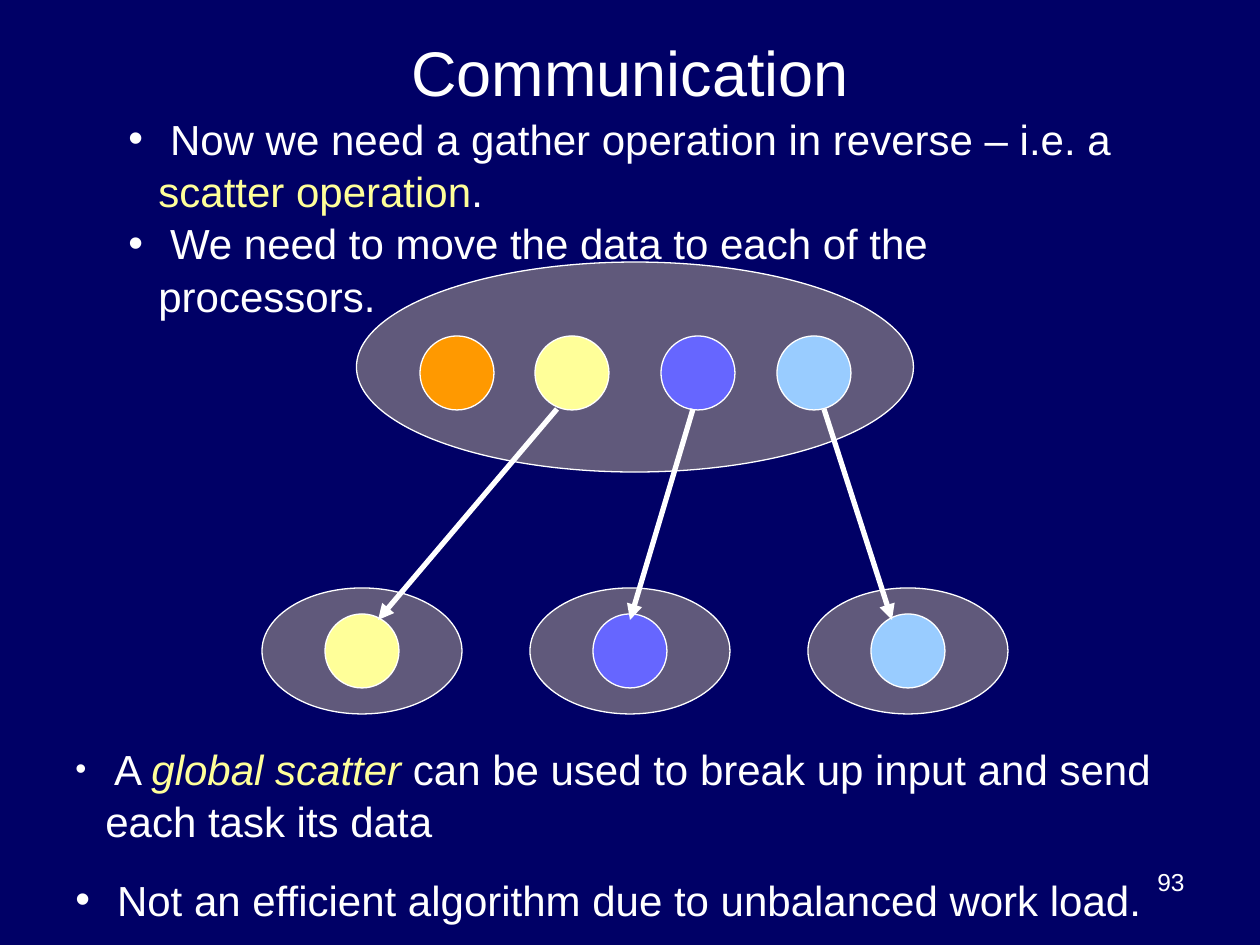
from lxml import etree
from pptx import Presentation
from pptx.dml.color import RGBColor
from pptx.enum.shapes import MSO_CONNECTOR, MSO_SHAPE
from pptx.enum.text import MSO_ANCHOR, PP_ALIGN
from pptx.oxml.ns import qn
from pptx.util import Pt

OVAL = MSO_SHAPE.OVAL
STRAIGHT = MSO_CONNECTOR.STRAIGHT
LEFT, CENTER, RIGHT = PP_ALIGN.LEFT, PP_ALIGN.CENTER, PP_ALIGN.RIGHT
TOP, MIDDLE = MSO_ANCHOR.TOP, MSO_ANCHOR.MIDDLE

PX = 914400 / 126  # EMU per px
COLORS = {name: RGBColor.from_string(value) for name, value in {
    "navy": "000066", "white": "FFFFFF", "gray": "60597B", "orange": "FF9900",
    "yellow": "FFFF99", "violet": "6666FF", "sky": "99CCFF"}.items()}


def px(*lengths):
    return [round(length * PX) for length in lengths]


def add_oval(center_x, center_y, width, height, color):
    shape = slide.shapes.add_shape(OVAL, *px(
        center_x - width / 2, center_y - height / 2, width, height))
    shape.shadow.inherit = False
    shape.fill.solid()
    shape.fill.fore_color.rgb = COLORS[color]
    shape.line.color.rgb = COLORS["white"]
    shape.line.width = Pt(0.75)


presentation = Presentation()
presentation.slide_width, presentation.slide_height = px(1260, 945)
slide = presentation.slides.add_slide(presentation.slide_layouts[6])
slide.background.fill.solid()
slide.background.fill.fore_color.rgb = COLORS["navy"]

# Source processor and the three receiving processors
DOT = 74
PROCESSOR_Y, DATA_Y = 651, 373
processors = [(362, "yellow"), (630, "violet"), (908, "sky")]
add_oval(635, 367, 557, 210, "gray")
for center_x, color in processors:
    add_oval(center_x, PROCESSOR_Y, 200, 126, "gray")

# Data items before and after the scatter
for center_x, color in [(457, "orange"), (572, "yellow"), (698, "violet"), (814, "sky")]:
    add_oval(center_x, DATA_Y, DOT, DOT, color)
for center_x, color in processors:
    add_oval(center_x, PROCESSOR_Y, DOT, DOT, color)

# Scatter arrows
for start_x, end_x in [(557, 378), (693, 630), (824, 892)]:
    arrow = slide.shapes.add_connector(STRAIGHT, *px(start_x, 409, end_x, 620))
    arrow.line.color.rgb = COLORS["white"]
    arrow.line.width = Pt(3)
    etree.SubElement(arrow.line._get_or_add_ln(), qn("a:tailEnd"), type="triangle")
    etree.SubElement(arrow._element.spPr, qn("a:effectLst"))

# Text boxes: place, alignment, anchor, bulleted, space between, paragraphs of runs
# A run is text, size, colour, italic
texts = [
    ((63, 38, 1134, 67), CENTER, MIDDLE, False, 0,
     [[("Communication", 36, "white", False)]]),
    ((63, 735, 1134, 190), LEFT, TOP, True, 15,
     [[(" ", 18, "white", False),
       ("A ", 24, "white", False),
       ("global scatter", 24, "yellow", True),
       (" can be used to break up input and send each task its data", 24, "white", False)],
      [(" Not an efficient algorithm due to unbalanced work load.", 24, "white", False)]]),
    ((116, 105, 1049, 241), LEFT, TOP, True, 0,
     [[(" Now we need a gather operation in reverse – i.e. a ", 24, "white", False),
       ("scatter operation", 24, "yellow", False),
       (".", 24, "white", False)],
      [(" We need to move the data to each of the processors.", 24, "white", False)]]),
    ((903, 861, 294, 66), RIGHT, TOP, False, 0,
     [[("93", 14, "white", False)]]),
]
for place, alignment, anchor, bulleted, space, paragraphs in texts:
    frame = slide.shapes.add_textbox(*px(*place)).text_frame
    frame.word_wrap = True
    frame.vertical_anchor = anchor
    for index, runs in enumerate(paragraphs):
        paragraph = frame.paragraphs[0] if index == 0 else frame.add_paragraph()
        paragraph.alignment = alignment
        if index:
            paragraph.space_before = Pt(space)
        if bulleted:
            paragraph.line_spacing = 1.04
            properties = paragraph._p.get_or_add_pPr()
            indent, = px(30)
            properties.set("marL", str(indent))
            properties.set("indent", str(-indent))
            bullet_color = etree.SubElement(properties, qn("a:buClr"))
            etree.SubElement(bullet_color, qn("a:srgbClr"), val=str(COLORS["white"]))
            etree.SubElement(properties, qn("a:buFont"), typeface="Arial")
            etree.SubElement(properties, qn("a:buChar"), char="•")
        for text, size, color, italic in runs:
            run = paragraph.add_run()
            run.text = text
            run.font.name = "Arial"
            run.font.size = Pt(size)
            run.font.italic = italic
            run.font.color.rgb = COLORS[color]

presentation.save("out.pptx")
